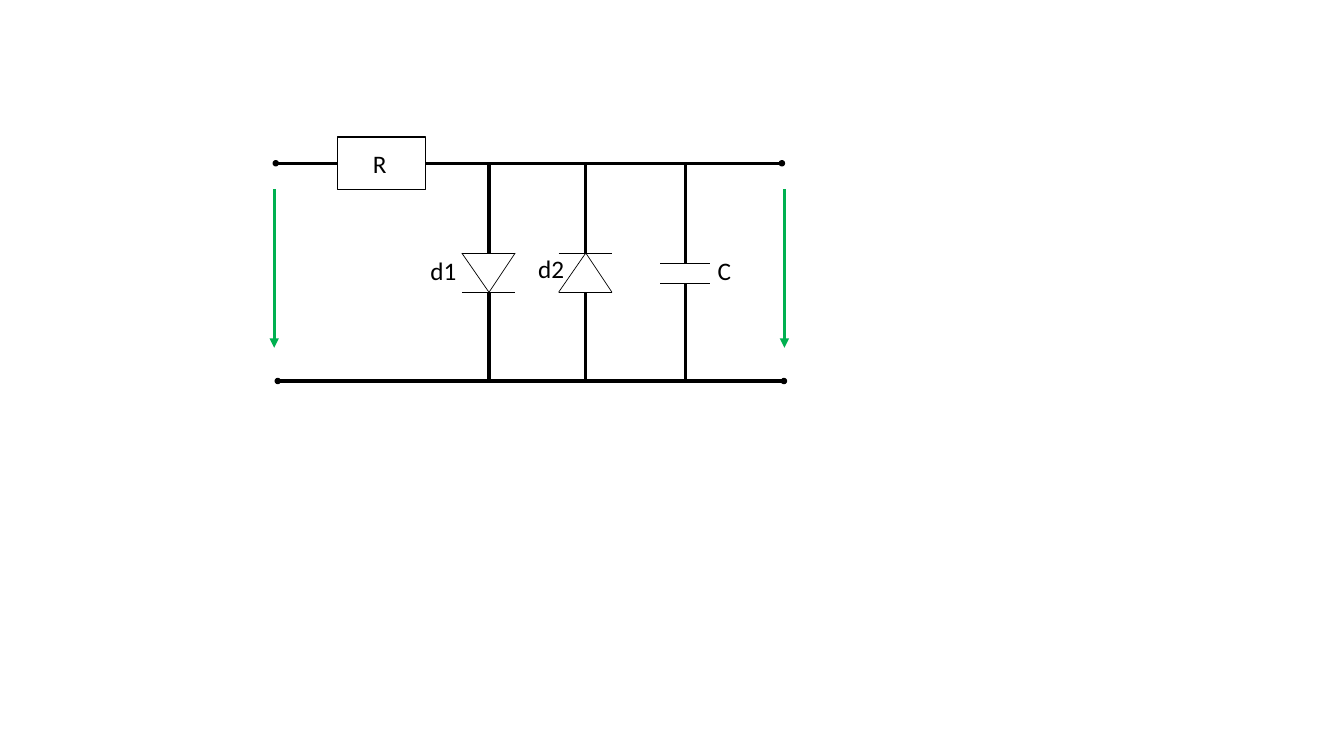
"""Draw a diode limiter circuit with a resistor, two diodes and a capacitor."""
import dataclasses

import lxml.etree
import pptx
import pptx.dml.color
import pptx.enum.shapes
import pptx.enum.text
import pptx.oxml.ns
import pptx.util


@dataclasses.dataclass
class Theme:
    """Colours, type and line widths of the slide."""
    ink: str = "000000"
    voltage: str = "00B050"
    font: str = "Calibri"
    label_size: float = 18
    wire: float = 2.25
    outline: float = 1
    symbol: float = 0.5


class Circuit:
    """Draws circuit elements on a grid of tenths of an inch."""

    def __init__(self, deck, theme):
        """Open a blank slide and a group for the circuit."""
        self.theme = theme
        self.cell = deck.slide_height / 75
        self.page = deck.slides.add_slide(deck.slide_layouts[6])
        self.drawing = self.page.shapes.add_group_shape().shapes

    def grid(self, *cells):
        """Turn grid cells into slide lengths."""
        return [pptx.util.Emu(round(cell * self.cell)) for cell in cells]

    def colour(self, name):
        """Return a theme colour."""
        return pptx.dml.color.RGBColor.from_string(name)

    def line(self, start, end, width, colour=None, arrow=False):
        """Draw a straight line, with an arrowhead at its end if asked."""
        straight = pptx.enum.shapes.MSO_CONNECTOR.STRAIGHT
        line = self.drawing.add_connector(straight, *self.grid(*start, *end))
        line.line.width = pptx.util.Pt(width)
        line.line.color.rgb = self.colour(colour or self.theme.ink)
        qn = pptx.oxml.ns.qn
        properties = line._element.spPr
        if arrow:
            stroke = properties.find(qn("a:ln"))
            lxml.etree.SubElement(stroke, qn("a:tailEnd"), type="triangle")
        lxml.etree.SubElement(properties, qn("a:effectLst"))

    def wire(self, *points):
        """Join points in order with wire."""
        for start, end in zip(points, points[1:]):
            self.line(start, end, self.theme.wire)

    def shape(self, kind, left, top, width, height, filled=False):
        """Draw an outlined preset shape."""
        shape = self.drawing.add_shape(kind, *self.grid(left, top, width, height))
        shape.shadow.inherit = False
        if filled:
            shape.fill.solid()
            shape.fill.fore_color.rgb = self.colour(self.theme.ink)
        else:
            shape.fill.background()
        shape.line.color.rgb = self.colour(self.theme.ink)
        shape.line.width = pptx.util.Pt(self.theme.outline)

    def terminal(self, column, row):
        """Draw a terminal dot around its centre."""
        oval = pptx.enum.shapes.MSO_SHAPE.OVAL
        self.shape(oval, column - 0.25, row - 0.25, 0.5, 0.5, filled=True)

    def diode(self, column, base, tip):
        """Draw a diode that points from its base row to its tip row."""
        left, right = column - 2.7, column + 2.6
        corners = [(left, base), (right, base), (column, tip), (left, base)]
        for start, end in zip(corners, corners[1:]):
            self.line(start, end, self.theme.symbol)
        self.line((left, tip), (right, tip), self.theme.symbol)

    def capacitor(self, column, *rows):
        """Draw the capacitor plates."""
        for row in rows:
            self.line((column - 2.5, row), (column + 2.4, row), self.theme.symbol)

    def voltage(self, column, top, bottom):
        """Draw a voltage arrow."""
        self.line((column, top), (column, bottom), self.theme.wire,
                  self.theme.voltage, arrow=True)

    def label(self, text, left, top, width):
        """Write an element's name."""
        box = self.drawing.add_textbox(*self.grid(left, top, width, 4))
        box.text_frame.word_wrap = False
        box.text_frame.auto_size = pptx.enum.text.MSO_AUTO_SIZE.SHAPE_TO_FIT_TEXT
        para = box.text_frame.paragraphs[0]
        span = para.add_run()
        span.text = text
        span.font.name = self.theme.font
        span.font.size = pptx.util.Pt(self.theme.label_size)
        span.font.color.rgb = self.colour(self.theme.ink)


def main():
    """Build the slide and save it."""
    deck = pptx.Presentation()
    deck.slide_width = pptx.util.Inches(13.33)
    deck.slide_height = pptx.util.Inches(7.5)
    circuit = Circuit(deck, Theme())

    top, bottom = 16.2, 37.8
    upper, lower = 25.1, 29
    plates = 26.1, 28.1
    diode1, diode2, capacitor = 48.5, 58.1, 68
    branches = [(diode1, upper, lower), (diode2, upper, lower),
                (capacitor, *plates)]
    columns = [diode1, diode2, capacitor, 77.8]

    circuit.shape(pptx.enum.shapes.MSO_SHAPE.RECTANGLE, 33.5, 13.6, 8.7, 5.2)
    circuit.wire((27.6, top), (33.5, top))
    circuit.wire(*[(column, top) for column in [42.2, *columns]])
    circuit.wire(*[(column, bottom) for column in [27.8, *columns]])
    for column, start, end in branches:
        circuit.wire((column, top), (column, start))
        circuit.wire((column, end), (column, bottom))

    circuit.diode(diode1, upper, lower)
    circuit.diode(diode2, lower, upper)
    circuit.capacitor(capacitor, *plates)
    for row, left, right in [(top, 27.35, 77.55), (bottom, 27.55, 77.75)]:
        circuit.terminal(left, row)
        circuit.terminal(right, row)
    for column in (27.2, 77.8):
        circuit.voltage(column, 18.8, 34.5)

    circuit.label("R", 36, 14.2, 3.4)
    circuit.label("C", 70.2, 24.8, 3.4)
    circuit.label("d1", 41.7, 24.8, 4.6)
    circuit.label("d2", 52.4, 24.6, 4.6)
    deck.save("out.pptx")


if __name__ == "__main__":
    main()
